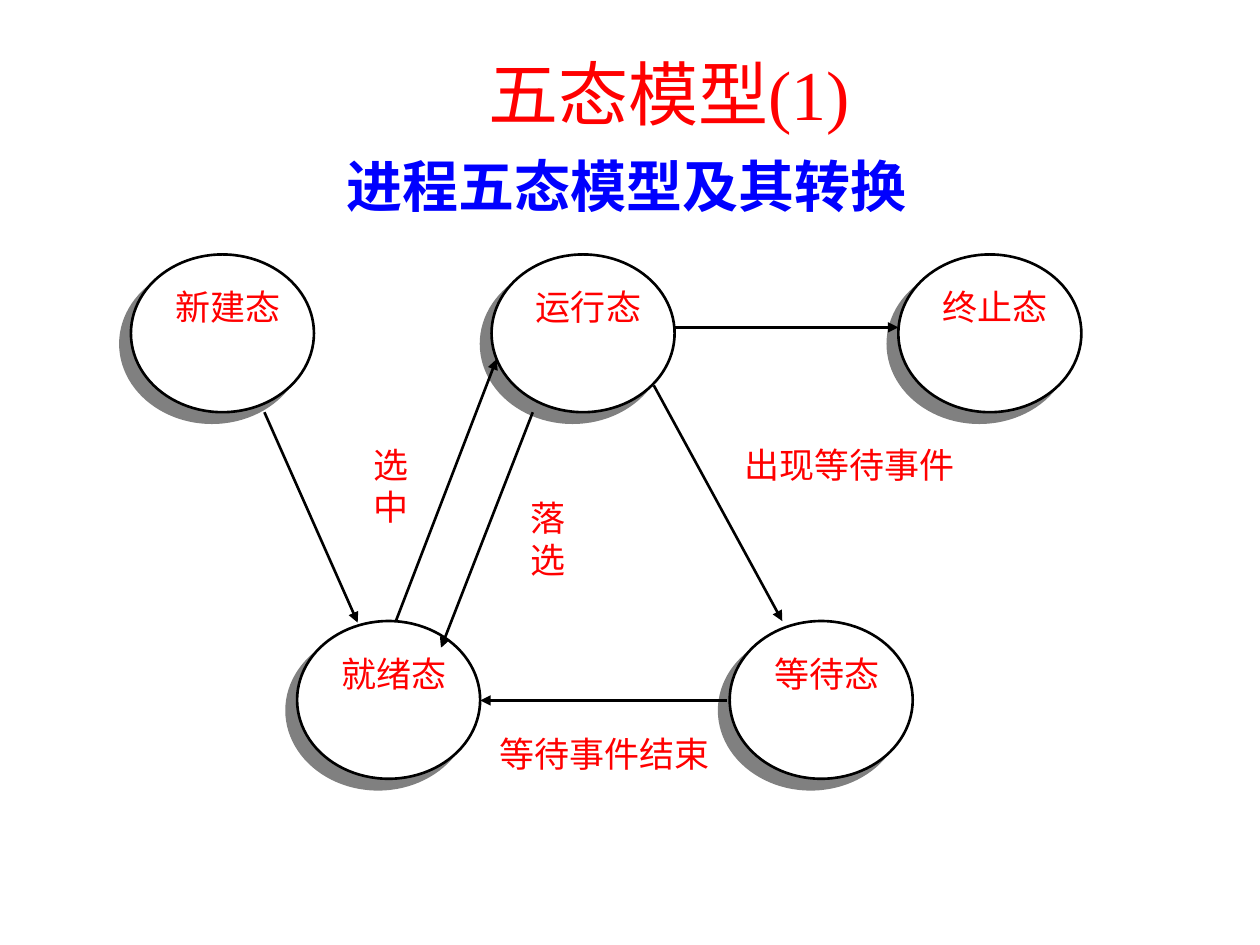
from pptx import Presentation
from pptx.util import Cm, Pt
from pptx.dml.color import RGBColor
from pptx.enum.shapes import MSO_CONNECTOR, MSO_SHAPE
from pptx.enum.text import MSO_ANCHOR, MSO_AUTO_SIZE, PP_ALIGN
from pptx.oxml.ns import qn
from lxml import etree

OVAL, RECT = MSO_SHAPE.OVAL, MSO_SHAPE.RECTANGLE
LINE = MSO_CONNECTOR.STRAIGHT
TOP, FIXED, CENTER = MSO_ANCHOR.TOP, MSO_AUTO_SIZE.NONE, PP_ALIGN.CENTER

# Content; all lengths in centimetres
TITLE = ("五态模型(1)", (2.69, 0.89, 21.59, 1.7))
HEAD = ("进程五态模型及其转换", (1.3, 2.92, 22.66, 1.35))
HIGH, LOW = 5.13, 12.52  # tops of the two rows of states
STATES = [
    ("新建态", 2.64, HIGH),
    ("运行态", 9.91, HIGH),
    ("终止态", 18.11, HIGH),
    ("就绪态", 5.99, LOW),
    ("等待态", 14.71, LOW),
]
ARROWS = [
    (5.33, 8.31, 7.21, 12.55),     # new to ready
    (7.98, 12.52, 10.01, 7.24),    # ready to running
    (10.74, 8.31, 8.89, 13.06),    # running to ready
    (13.18, 7.77, 15.77, 12.52),   # running to waiting
    (14.66, 14.12, 9.68, 14.12),   # waiting to ready
    (13.61, 6.6, 18.11, 6.6),      # running to ended
]
EVENTS = [
    ("选中", (7.24, 8.84, 1.3, 2.13)),
    ("落选", (10.39, 9.91, 1.3, 2.13)),
    ("出现等待事件", (14.99, 8.84, 4.27, 1.37)),
    ("等待事件结束", (9.96, 14.66, 4.45, 1.27)),
]
OVAL_SIZE = (3.69, 3.18)
NAME_SHIFT, NAME_SIZE = (0.85, 0.53), (2.21, 2.12)

THEME = {
    "red": "FF0000", "blue": "0000FF", "black": "000000",
    "white": "FFFFFF", "gray": "808080",
    "serif": "Times New Roman", "sans": "Noto Sans CJK SC",
    "title": 40, "head": 32, "label": 20, "line": 1.5, "shadow": 8.5,
}


def color(name):
    return RGBColor.from_string(THEME[name])


def write(shape, text, size="label", ink="red", font="sans", bold=False):
    frame = shape.text_frame
    frame.word_wrap, frame.auto_size = True, FIXED
    frame.vertical_anchor = TOP
    para = frame.paragraphs[0]
    para.alignment = CENTER
    para.space_before = Pt(0)
    run = para.add_run()
    run.text = text
    face = run.font
    face.size, face.bold, face.name = Pt(THEME[size]), bold, THEME[font]
    face.color.rgb = color(ink)
    asian = etree.SubElement(run._r.get_or_add_rPr(), qn("a:ea"))
    asian.set("typeface", THEME["sans"])
    return para


def place(shape, box):
    shape.left, shape.top, shape.width, shape.height = map(Cm, box)


def stroke(line):
    line.color.rgb = color("black")
    line.width = Pt(THEME["line"])


def block(shapes, kind, box):
    shape = shapes.add_shape(kind, *map(Cm, box))
    shape.shadow.inherit = False
    shape.fill.solid()
    shape.fill.fore_color.rgb = color("white")
    return shape


def add_oval(shapes, left, top):
    oval = block(shapes, OVAL, (left, top, *OVAL_SIZE))
    stroke(oval.line)
    effects = oval._element.spPr.find(qn("a:effectLst"))
    cast = etree.SubElement(effects, qn("a:outerShdw"), blurRad="0",
                            dist=str(Pt(THEME["shadow"])),
                            dir=str(135 * 60000), algn="ctr", rotWithShape="0")
    etree.SubElement(cast, qn("a:srgbClr"), val=THEME["gray"])


def add_arrow(shapes, ends):
    arrow = shapes.add_connector(LINE, *map(Cm, ends))
    stroke(arrow.line)
    etree.SubElement(arrow.line._get_or_add_ln(), qn("a:tailEnd"),
                     type="triangle")
    etree.SubElement(arrow._element.spPr, qn("a:effectLst"))


def add_label(shapes, text, box):
    label = block(shapes, RECT, box)
    label.line.fill.background()
    frame = label.text_frame
    frame.margin_left = frame.margin_right = frame.margin_bottom = 0
    frame.margin_top = Cm(0.1)
    write(label, text)


def main():
    deck = Presentation()
    deck.slide_width, deck.slide_height = Cm(25.4), Cm(19.05)
    slide = deck.slides.add_slide(deck.slide_layouts[1])
    shapes = slide.shapes

    # Title and heading
    title, head = shapes.title, slide.placeholders[1]
    place(title, TITLE[1])
    write(title, TITLE[0], size="title", font="serif")
    place(head, HEAD[1])
    para = write(head, HEAD[0], size="head", ink="blue", bold=True)
    props = para._p.get_or_add_pPr()
    props.set("marL", "0")
    props.set("indent", "0")
    etree.SubElement(props, qn("a:buNone"))

    # States, then arrows, then all wording on top
    for _, left, top in STATES:
        add_oval(shapes, left, top)
    for ends in ARROWS:
        add_arrow(shapes, ends)
    for name, left, top in STATES:
        spot = (left + NAME_SHIFT[0], top + NAME_SHIFT[1])
        add_label(shapes, name, (*spot, *NAME_SIZE))
    for text, box in EVENTS:
        add_label(shapes, text, box)

    deck.save("out.pptx")


if __name__ == "__main__":
    main()
